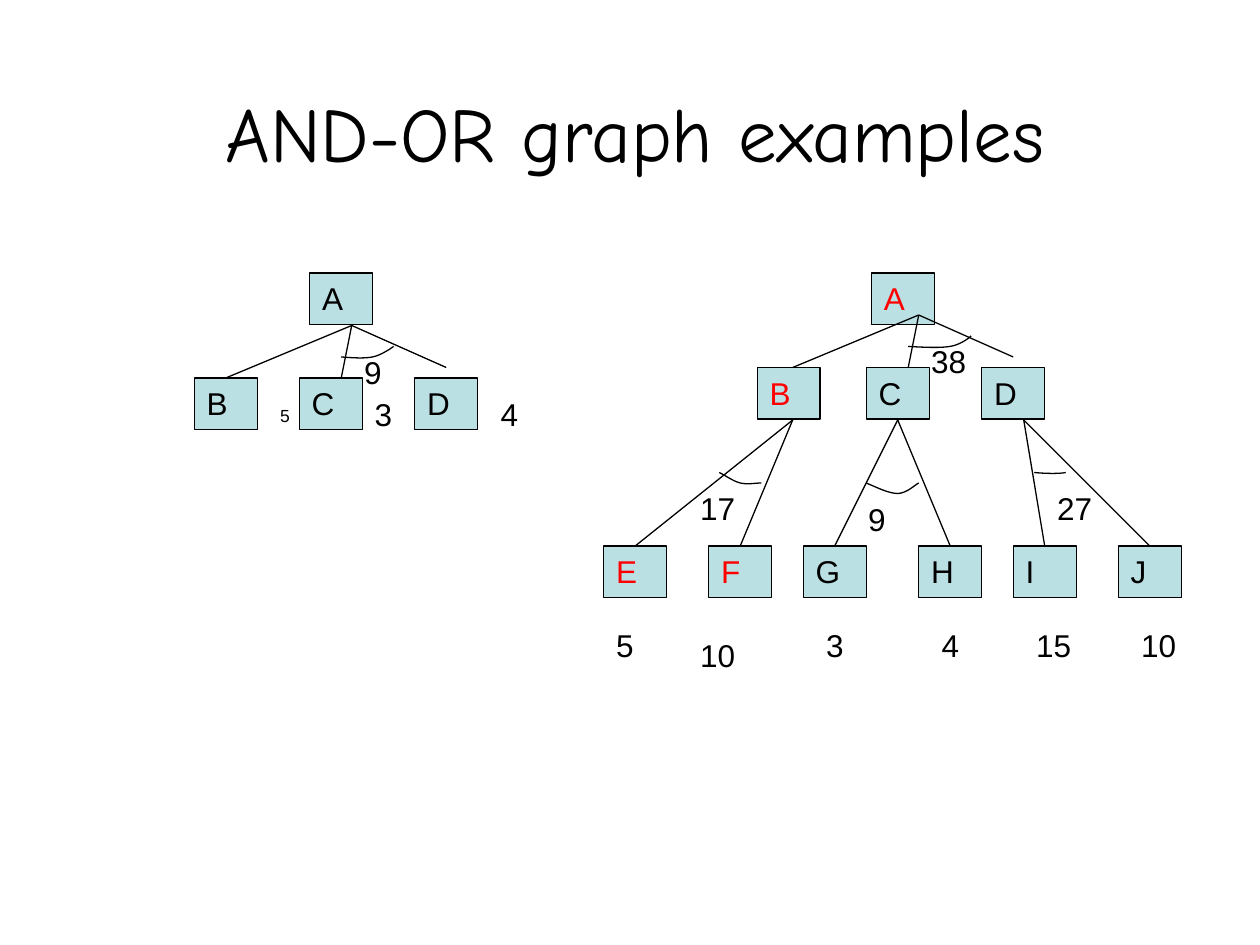
from lxml import etree
from pptx import Presentation
from pptx.dml.color import RGBColor
from pptx.enum.shapes import MSO_CONNECTOR, MSO_SHAPE
from pptx.enum.text import MSO_ANCHOR, PP_ALIGN
from pptx.oxml.ns import qn
from pptx.util import Pt

BLACK = RGBColor(0x00, 0x00, 0x00)
RED = RGBColor(0xFF, 0x00, 0x00)
PALE_TEAL = RGBColor(0xBB, 0xE0, 0xE3)
RECTANGLE = MSO_SHAPE.RECTANGLE
STRAIGHT = MSO_CONNECTOR.STRAIGHT
TOP, MIDDLE = MSO_ANCHOR.TOP, MSO_ANCHOR.MIDDLE
LEFT, CENTER = PP_ALIGN.LEFT, PP_ALIGN.CENTER
NODE_W, NODE_H = 36, 29.5
CURVE_STEPS = 8


def write(shape, text, size, color=BLACK, font="Arial", align=LEFT, anchor=TOP):
    frame = shape.text_frame
    frame.text = text
    frame.word_wrap = True
    frame.vertical_anchor = anchor
    paragraph = frame.paragraphs[0]
    paragraph.alignment = align
    style = paragraph.runs[0].font
    style.name = font
    style.size = Pt(size)
    style.color.rgb = color


def outline(shape):
    shape.line.color.rgb = BLACK
    shape.line.width = Pt(0.75)


prs = Presentation()
prs.slide_width, prs.slide_height = Pt(720), Pt(540)
slide = prs.slides.add_slide(prs.slide_layouts[5])
shapes = slide.shapes

title = shapes.title
title.left, title.top, title.width, title.height = Pt(39), Pt(30), Pt(648), Pt(90)
write(title, "AND-OR graph examples", 44, font="Comic Neue", align=CENTER, anchor=MIDDLE)

node_rows = [
    (156, [("A", 177, BLACK), ("A", 498, RED)]),
    (216, [("B", 111, BLACK), ("C", 171, BLACK), ("D", 237, BLACK)]),
    (210, [("B", 432.7, RED), ("C", 495, BLACK), ("D", 561, BLACK)]),
    (312, [("E", 345, RED), ("F", 405, RED), ("G", 459, BLACK),
           ("H", 525, BLACK), ("I", 579, BLACK), ("J", 639, BLACK)]),
]
for top, nodes in node_rows:
    for name, left, color in nodes:
        node = shapes.add_shape(RECTANGLE, Pt(left), Pt(top), Pt(NODE_W), Pt(NODE_H))
        node.shadow.inherit = False
        node.fill.solid()
        node.fill.fore_color.rgb = PALE_TEAL
        outline(node)
        write(node, name, 18, color)

edges = [
    (x, y, x + dx, y + dy)
    for x, y in [(201, 186), (525, 180)]
    for dx, dy in [(-72, 30), (-6, 30), (54, 24)]
]
edges += [
    (x, 240, child, 312)
    for x, children in [(453, (363, 423)), (513, (477, 543)), (585, (597, 657))]
    for child in children
]
for x1, y1, x2, y2 in edges:
    edge = shapes.add_connector(STRAIGHT, Pt(x1), Pt(y1), Pt(x2), Pt(y2))
    outline(edge)
    etree.SubElement(edge.element.spPr, qn("a:effectLst"))

arcs = [
    [(195, 204), (201.5, 204.5), (208, 205), (213, 204), (218, 203), (223.5, 199), (225, 198)],
    [(519, 198), (528, 198.5), (537, 199), (543, 198), (549, 197), (554, 193), (555, 192)],
    [(411, 270), (415, 272), (419, 275), (423, 276), (427, 277), (432, 276), (435, 276)],
    [(495, 276), (502, 279), (508, 282), (513, 282), (518, 282), (523, 277), (525, 276)],
    [(591, 270), (598, 270.7), (606, 270.7), (609, 270)],
]
for controls in arcs:
    points = []
    for start in range(0, len(controls) - 1, 3):
        curve = controls[start:start + 4]
        for step in range(1, CURVE_STEPS + 1):
            t = step / CURVE_STEPS
            weights = ((1 - t) ** 3, 3 * t * (1 - t) ** 2, 3 * t ** 2 * (1 - t), t ** 3)
            x, y = (sum(w * p[axis] for w, p in zip(weights, curve)) for axis in (0, 1))
            points.append((Pt(x), Pt(y)))
    builder = shapes.build_freeform(Pt(controls[0][0]), Pt(controls[0][1]))
    builder.add_line_segments(points, close=False)
    arc = builder.convert_to_shape()
    arc.shadow.inherit = False
    arc.fill.background()
    outline(arc)

costs = [
    ("5", 153, 228, 18, 10), ("3", 207, 222, 24, 18), ("4", 279, 222, 24, 18),
    ("5", 345, 354, 30, 18), ("10", 393, 360, 42, 18), ("3", 465, 354, 30, 18),
    ("4", 531, 354, 30, 18), ("15", 585, 354, 42, 18), ("10", 645, 354, 36, 18),
    ("17", 393, 276, 42, 18), ("9", 489, 282, 30, 18), ("27", 597, 276, 48, 18),
    ("38", 525, 192, 42, 18), ("9", 201, 198, 30, 18),
]
for value, left, top, width, size in costs:
    cost = shapes.add_textbox(Pt(left), Pt(top), Pt(width), Pt(size * 1.2 + 7.2))
    write(cost, value, size)

prs.save("out.pptx")
